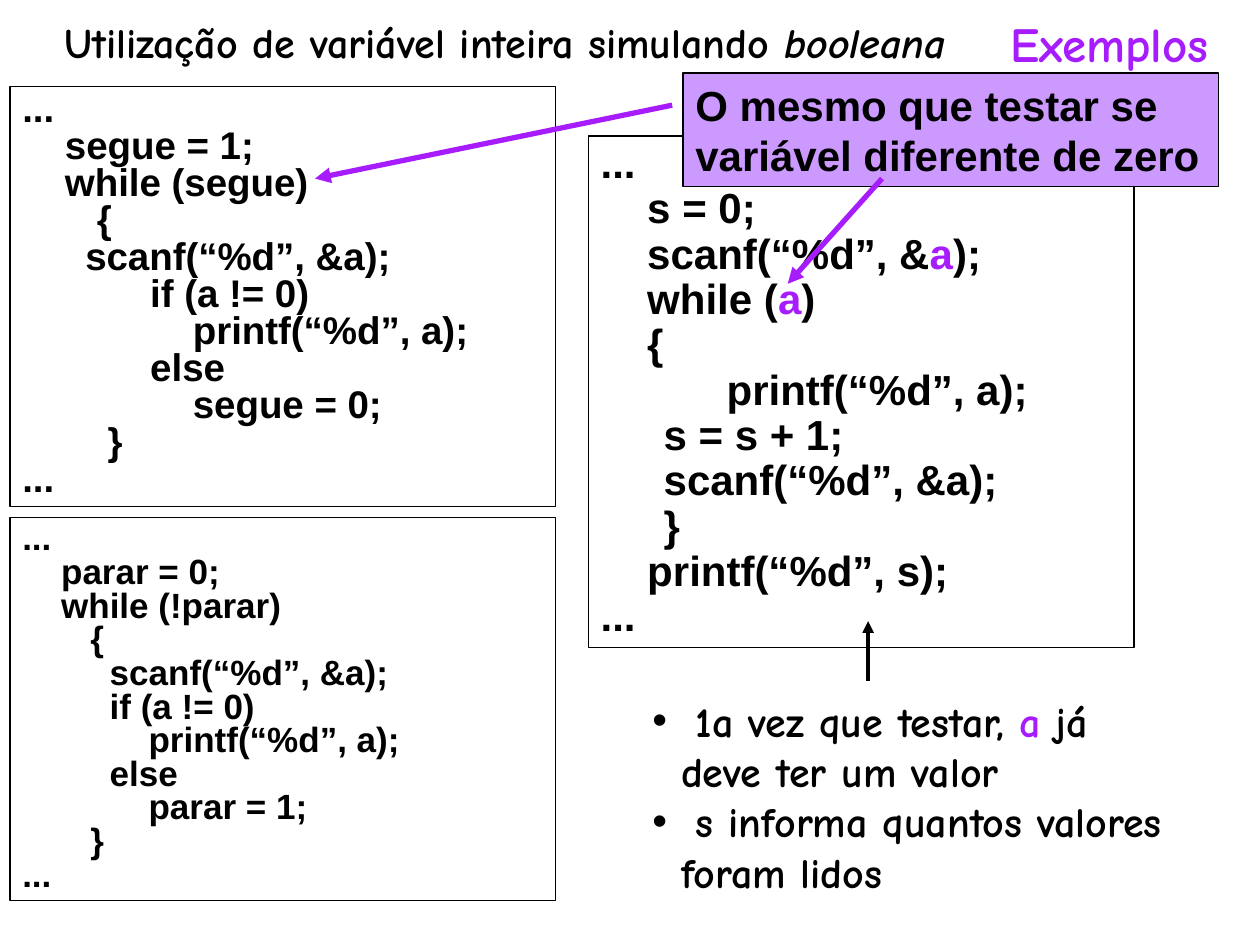
from dataclasses import dataclass
from typing import NamedTuple

from lxml import etree
from pptx import Presentation
from pptx.dml import color
from pptx.enum import shapes, text
from pptx.oxml import ns
from pptx.util import Cm, Pt

BLACK, WHITE, PURPLE, LILAC = "000000", "FFFFFF", "A71CFC", "CC99FF"
CODE_FONT, HAND_FONT = "Arial", "Comic Neue"


class Run(NamedTuple):
    text: str
    color: str = BLACK
    italic: bool = False


class Line(NamedTuple):
    runs: list[Run]
    margin: float = 0
    bullet: str = ""


class Box(NamedTuple):
    left: float
    top: float
    width: float
    height: float


@dataclass
class Panel:
    box: Box
    lines: list[Line]
    size: int
    spacing: float = 1.0
    fill: str = WHITE


@dataclass
class Arrow:
    start: tuple[float, float]
    end: tuple[float, float]
    color: str
    width: float


def rgb(value: str) -> color.RGBColor:
    return color.RGBColor.from_string(value)


def code_lines(code: str) -> list[Line]:
    return [Line([Run(row)]) for row in code.split("\n")]


def format_paragraph(paragraph, line: Line, spacing: float) -> None:
    properties = paragraph._p.get_or_add_pPr()
    properties.set("marL", str(Cm(line.margin)))
    properties.set("indent", str(-Cm(line.margin) if line.bullet else 0))
    if line.bullet:
        etree.SubElement(properties, ns.qn("a:buFont"), typeface=CODE_FONT)
        etree.SubElement(properties, ns.qn("a:buChar"), char=line.bullet)
    else:
        etree.SubElement(properties, ns.qn("a:buNone"))
    tabs = etree.SubElement(properties, ns.qn("a:tabLst"))
    etree.SubElement(tabs, ns.qn("a:tab"), pos=str(Cm(2.54)), algn="l")
    paragraph.alignment = text.PP_ALIGN.LEFT
    paragraph.line_spacing = spacing
    paragraph.space_before = Pt(0)


def write_lines(shape, lines: list[Line], size: int, font: str,
                spacing: float = 1.0, wrap: bool = True) -> None:
    frame = shape.text_frame
    frame.word_wrap = wrap
    frame.auto_size = text.MSO_AUTO_SIZE.NONE
    frame.vertical_anchor = text.MSO_ANCHOR.TOP
    for index, line in enumerate(lines):
        paragraph = frame.add_paragraph() if index else frame.paragraphs[0]
        format_paragraph(paragraph, line, spacing)
        for part in line.runs:
            run = paragraph.add_run()
            run.text = part.text
            run.font.name = font
            run.font.size = Pt(size)
            run.font.bold = True
            run.font.italic = part.italic
            run.font.color.rgb = rgb(part.color)


def add_panel(slide, panel: Panel) -> None:
    shape = slide.shapes.add_shape(shapes.MSO_SHAPE.RECTANGLE, *map(Cm, panel.box))
    shape.shadow.inherit = False
    shape.fill.solid()
    shape.fill.fore_color.rgb = rgb(panel.fill)
    shape.line.color.rgb = rgb(BLACK)
    shape.line.width = Pt(0.75)
    write_lines(shape, panel.lines, panel.size, CODE_FONT, panel.spacing)


def add_note(slide, box: Box, lines: list[Line], size: int, wrap: bool = True) -> None:
    shape = slide.shapes.add_textbox(*map(Cm, box))
    write_lines(shape, lines, size, HAND_FONT, wrap=wrap)


def add_arrow(slide, arrow: Arrow) -> None:
    connector = slide.shapes.add_connector(
        shapes.MSO_CONNECTOR.STRAIGHT, *map(Cm, arrow.start + arrow.end))
    connector.line.color.rgb = rgb(arrow.color)
    connector.line.width = Pt(arrow.width)
    etree.SubElement(connector.line._get_or_add_ln(), ns.qn("a:tailEnd"), type="triangle")
    etree.SubElement(connector._element.spPr, ns.qn("a:effectLst"))


def set_title(slide, box: Box, lines: list[Line], size: int) -> None:
    title = slide.shapes.title
    title.left, title.top, title.width, title.height = map(Cm, box)
    write_lines(title, lines, size, HAND_FONT, wrap=False)


FLAG_LOOP = """...
    segue = 1;
    while (segue)
       {
\tscanf(“%d”, &a);
            if (a != 0)
                printf(“%d”, a);
            else
                segue = 0;
        }
..."""

NEGATED_LOOP = """...
    parar = 0;
    while (!parar)
       {
         scanf(“%d”, &a);
         if (a != 0)
             printf(“%d”, a);
         else
             parar = 1;
       }
..."""

COUNT_START = """...
    s = 0;"""

COUNT_END = """    {
          \tprintf(“%d”, a);
\ts = s + 1;
\tscanf(“%d”, &a);
\t}
    printf(“%d”, s);
..."""

VARIABLE = Run("a", PURPLE)
COUNT_LOOP = [
    *code_lines(COUNT_START),
    Line([Run("    scanf(“%d”, &"), VARIABLE, Run(");")]),
    Line([Run("    while ("), VARIABLE, Run(")")]),
    *code_lines(COUNT_END),
]

PANELS = [
    Panel(Box(0.2, 1.75, 11, 8.46), code_lines(FLAG_LOOP), 22, 0.8),
    Panel(Box(0.2, 10.44, 11, 7.72), code_lines(NEGATED_LOOP), 20, 0.8),
    Panel(Box(11.86, 2.74, 11, 10.31), COUNT_LOOP, 24, 0.9),
    Panel(Box(13.77, 1.47, 10.8, 2.29),
          [Line([Run("O mesmo que testar se variável diferente de zero")])], 24, fill=LILAC),
]

ARROWS = [
    Arrow((17.78, 3.6), (15.88, 5.72), PURPLE, 3),
    Arrow((13.55, 2.12), (6.35, 3.6), PURPLE, 3),
    Arrow((17.5, 13.72), (17.5, 12.52), BLACK, 2.25),
]

TITLE = [Line([Run("Utilização de variável inteira simulando "),
               Run("booleana", italic=True)])]

REMARKS = [
    Line([Run("1a vez que testar, "), VARIABLE, Run(" já")], 0.88, "•"),
    Line([Run("deve ter um valor")], 0.58),
    Line([Run("s informa quantos valores")], 0.88, "•"),
    Line([Run("foram lidos")], 0.58),
]


def main() -> None:
    presentation = Presentation()
    presentation.slide_width, presentation.slide_height = Cm(25.4), Cm(19.05)
    slide = presentation.slides.add_slide(presentation.slide_layouts[5])
    set_title(slide, Box(1.04, 0.2, 18.36, 1.27), TITLE, 24)
    add_note(slide, Box(20.12, 0.15, 4.52, 1.45),
             [Line([Run("Exemplos", PURPLE)])], 28, wrap=False)
    for panel in PANELS:
        add_panel(slide, panel)
    add_note(slide, Box(12.9, 13.89, 12.12, 4.32), REMARKS, 24)
    for arrow in ARROWS:
        add_arrow(slide, arrow)
    presentation.save("out.pptx")


if __name__ == "__main__":
    main()
